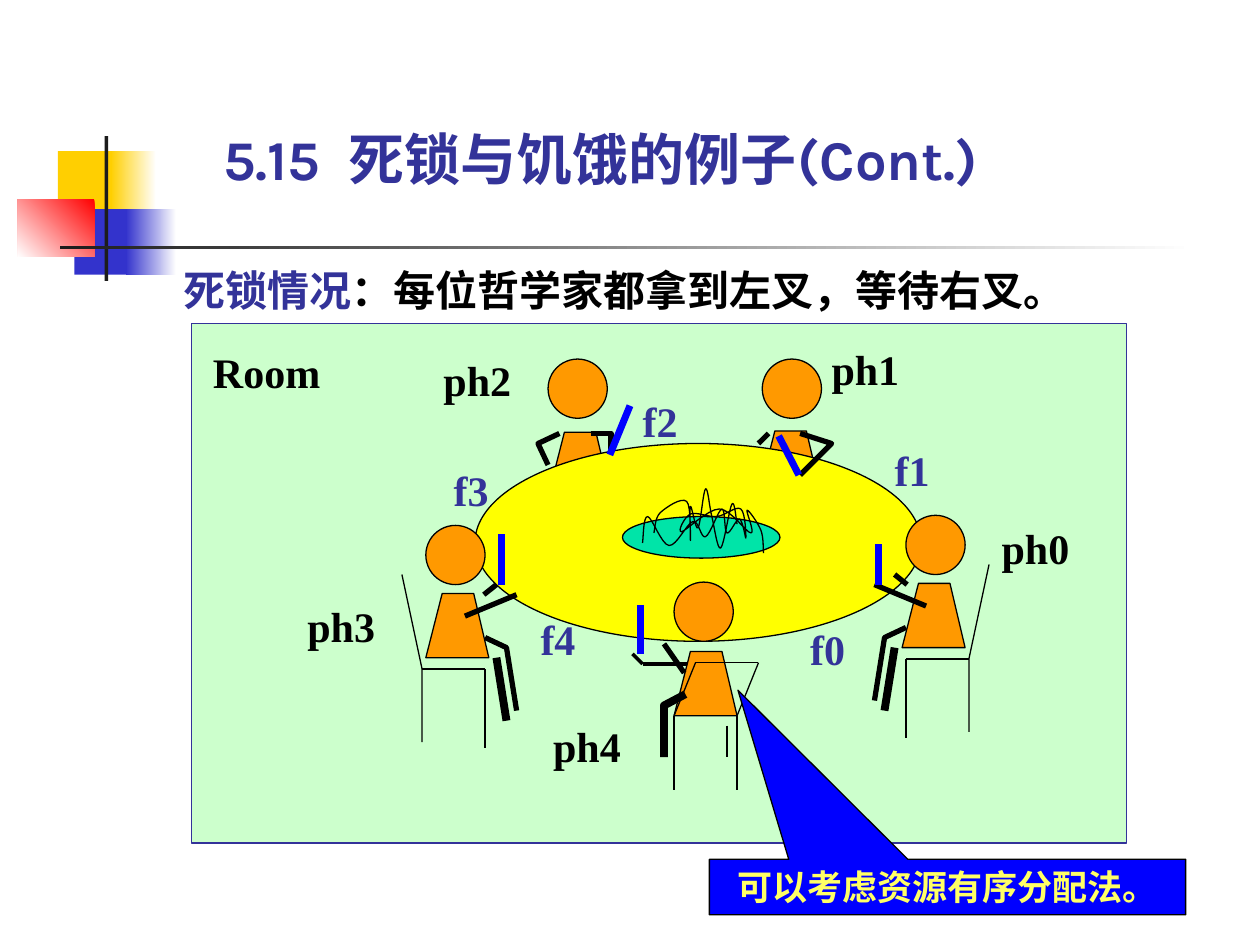
from lxml.etree import SubElement
from pptx import Presentation
from pptx.dml.color import RGBColor
from pptx.enum.shapes import MSO_CONNECTOR as Connector, MSO_SHAPE as Preset
from pptx.enum.text import MSO_ANCHOR as Anchor, PP_ALIGN as Align
from pptx.oxml.ns import qn
from pptx.util import Inches, Pt

COLORS = {
    "white": "FFFFFF", "black": "000000", "ink": "1C1C1C", "gold": "FFCF01",
    "indigo": "3333CC", "red": "FF0000", "navy": "333399", "room": "CCFFCC",
    "table": "FFFF00", "person": "FF9900", "plate": "00E4A8", "blue": "0000FF",
    "callout text": "FFFF66",
}
SERIF, SANS = "Times New Roman", "Karla"
HEAD = 0.47

DECORATION = [
    ((0.46, 1.2, 0.48, 0.52), "gold", None),
    ((0.88, 1.2, 0.36, 0.52), ("white", "gold"), 180),
    ((0.59, 1.66, 0.46, 0.52), "indigo", None),
    ((1, 1.66, 0.4, 0.52), ("white", "indigo"), 180),
    ((0.14, 1.58, 0.61, 0.46), ("red", "white"), 225),
    ((0.83, 1.08, 0.03, 1.15), "ink", None),
    ((0.48, 1.95, 9, 0.03), ("white", "ink"), 180),
]
PHILOSOPHERS = [(7.95, 4.15), (6.6, 2.73), (3.52, 2.81), (2.44, 4.77), (4.39, 5.72)]
FORKS = [(6.43, 4.95), (7.1, 3.53), (5.1, 3.14), (3.6, 3.69), (4.29, 4.87)]
NOODLES = [
    [(5.19, 4.23), (5.24, 4.07), (5.45, 3.98), (5.48, 4.29), (5.48, 4.02), (5.54, 4.19),
     (5.6, 3.88), (5.65, 4.1), (5.72, 4.35), (5.81, 4), (5.85, 4.16)],
    [(5.1, 4.31), (5.14, 4.1), (5.31, 4.33), (5.5, 4.14), (5.6, 4.26), (5.73, 4.04),
     (5.77, 4.23), (5.87, 4.12), (5.92, 4.27), (5.88, 4.04), (5.69, 4.1), (5.48, 4.08),
     (5.41, 4.22), (5.71, 4.04), (5.96, 4.23), (5.93, 4.05), (6.04, 4.21), (6.06, 4.39)],
]


def rgb(name):
    """Return the named colour."""
    return RGBColor.from_string(COLORS[name])


def paint(shape, fill=None, line=None, width=0.75, angle=None):
    """Set fill, outline and shadow; a pair of fills makes a gradient."""
    shape.shadow.inherit = False
    if fill is None:
        shape.fill.background()
    elif angle is None:
        shape.fill.solid()
        shape.fill.fore_color.rgb = rgb(fill)
    else:
        shape.fill.gradient()
        shape.fill.gradient_angle = angle
        for stop, name in zip(shape.fill.gradient_stops, fill):
            stop.color.rgb = rgb(name)
    if line is None:
        shape.line.fill.background()
    else:
        shape.line.color.rgb = rgb(line)
        shape.line.width = Pt(width)


def add_preset(slide, preset, box, **style):
    """Add a preset shape at a box in inches."""
    shape = slide.shapes.add_shape(preset, *map(Inches, box))
    paint(shape, **style)
    return shape


def add_outline(slide, points, close=False, **style):
    """Add a freeform through the points."""
    start, *rest = [(Inches(x), Inches(y)) for x, y in points]
    builder = slide.shapes.build_freeform(*start)
    builder.add_line_segments(rest, close=close)
    paint(builder.convert_to_shape(), line="black", **style)


def add_curve(slide, points, steps=8):
    """Add a smooth curve through the points, drawn in short steps."""
    padded = [points[0], *points, points[-1]]
    smooth = [points[0]]
    for corners in zip(padded, padded[1:], padded[2:], padded[3:]):
        for t in (step / steps for step in range(1, steps + 1)):
            smooth.append(tuple(
                b + t * ((c - a) + t * (2 * a - 5 * b + 4 * c - d + t * (3 * (b - c) + d - a))) / 2
                for a, b, c, d in zip(*corners)))
    add_outline(slide, smooth)


def add_line(slide, start, end, width=0.75, color="black"):
    """Add a straight line without shadow."""
    line = slide.shapes.add_connector(Connector.STRAIGHT, *map(Inches, (*start, *end)))
    line.line.color.rgb = rgb(color)
    line.line.width = Pt(width)
    SubElement(line._element.spPr, qn("a:effectLst"))


def write(frame, *runs, size=24, font=SERIF, align=Align.LEFT, anchor=Anchor.TOP, inset=(0, 0)):
    """Fill a text frame with bold (text, colour) runs."""
    frame.word_wrap = True
    frame.vertical_anchor = anchor
    frame.margin_left = frame.margin_right = Inches(inset[0])
    frame.margin_top = frame.margin_bottom = Inches(inset[1])
    paragraph = frame.paragraphs[0]
    paragraph.alignment = align
    for text, color in runs:
        run = paragraph.add_run()
        run.text = text
        run.font.size, run.font.name, run.font.bold = Pt(size), font, True
        run.font.color.rgb = rgb(color)


def add_text(slide, box, *runs, **text_format):
    """Add a text box."""
    write(slide.shapes.add_textbox(*map(Inches, box)).text_frame, *runs, **text_format)


def add_torso(slide, left, top):
    """Add a tapered torso."""
    points = [(left, top + 0.51), (left + 0.5, top + 0.51), (left + 0.38, top), (left + 0.13, top)]
    add_outline(slide, points, close=True, fill="person")


def add_head(slide, left, top):
    """Add a round head."""
    add_preset(slide, Preset.OVAL, (left, top, HEAD, HEAD), fill="person", line="black")


def add_side_philosopher(slide, mirrored=False):
    """Add the seated philosopher on the left, or the mirrored one on the right."""
    def place(x, y, width=0):
        return (11.04 - x - width, y - 0.08) if mirrored else (x, y)

    add_outline(slide, [place(3.19, 4.56), place(3.35, 5.31), place(3.35, 5.89)])
    add_line(slide, place(3.85, 5.31), place(3.85, 5.94))
    add_line(slide, place(3.35, 5.31), place(3.85, 5.31))
    add_torso(slide, *place(3.38, 4.71, 0.5))
    add_head(slide, *place(3.38, 4.17, HEAD))
    add_line(slide, place(3.94, 5.22), place(4.02, 5.72), 4.5)
    add_outline(slide, [place(3.85, 5.06), place(4.02, 5.14), place(4.1, 5.64)], width=3)
    add_line(slide, place(3.69, 4.89), place(4.1, 4.72), 3)
    add_line(slide, place(3.84, 4.72), place(3.94, 4.64), 3)


def add_front_philosopher(slide):
    """Add the philosopher at the near side, with the chair."""
    add_line(slide, (5.1, 5.27), (5.6, 5.27), 2)
    add_line(slide, (5.02, 5.19), (5.1, 5.27), 2)
    add_torso(slide, 5.35, 5.17)
    for x in (5.35, 5.85):
        add_line(slide, (x, 5.68), (x, 6.27))
        add_line(slide, (x, 5.68), (x + 0.17, 5.26))
    add_line(slide, (5.52, 5.26), (6.02, 5.26))
    add_head(slide, 5.35, 4.62)
    add_line(slide, (5.27, 5.68), (5.27, 6.01))
    add_line(slide, (5.77, 5.76), (5.77, 6.01))
    add_line(slide, (5.27, 5.11), (5.43, 5.34), 3)
    add_outline(slide, [(5.44, 5.51), (5.27, 5.6), (5.27, 6.01)], width=4.5)


def add_back_philosophers(slide):
    """Add heads and arms of the two philosophers at the far side."""
    for left in (6.05, 4.35):
        add_head(slide, left, 2.85)
    add_line(slide, (6.1, 3.44), (6.02, 3.52), 3)
    for arm in ([(6.35, 3.44), (6.6, 3.52), (6.35, 3.77)],
                [(4.44, 3.44), (4.27, 3.52), (4.35, 3.69)],
                [(4.69, 3.44), (4.85, 3.44), (4.85, 3.6)]):
        add_outline(slide, arm, width=3)


def add_labels(slide):
    """Name the room, the philosophers and the forks."""
    add_text(slide, (1.69, 2.75, 0.89, 0.4), ("Room", "black"))
    for prefix, places, width, color in (("ph", PHILOSOPHERS, 0.7, "black"),
                                         ("f", FORKS, 0.4, "navy")):
        for number, place in enumerate(places):
            add_text(slide, (*place, width, 0.4), (f"{prefix}{number}", color))


def add_forks(slide):
    """Add the five forks, three of them upright."""
    for x, top, bottom in ((6.97, 4.32, 4.64), (3.98, 4.24, 4.64), (5.08, 4.8, 5.19)):
        add_line(slide, (x, top), (x, bottom), 4, "blue")
    add_line(slide, (6.18, 3.46), (6.34, 3.77), 4, "blue")
    add_line(slide, (5, 3.22), (4.84, 3.61), 4, "blue")


def main():
    """Build the dining philosophers slide."""
    presentation = Presentation()
    presentation.slide_width, presentation.slide_height = Inches(10), Inches(7.5)
    slide = presentation.slides.add_slide(presentation.slide_layouts[6])
    for box, fill, angle in DECORATION:
        add_preset(slide, Preset.RECTANGLE, box, fill=fill, angle=angle)
    add_preset(slide, Preset.RECTANGLE, (1.52, 2.57, 7.42, 4.12), fill="room", line="navy")
    add_torso(slide, 4.35, 3.43)
    add_torso(slide, 6.02, 3.42)
    add_preset(slide, Preset.OVAL, (3.77, 3.52, 3.54, 1.57), fill="table", line="black")
    add_side_philosopher(slide)
    add_side_philosopher(slide, mirrored=True)
    add_front_philosopher(slide)
    add_back_philosophers(slide)
    add_preset(slide, Preset.OVAL, (4.94, 4.1, 1.25, 0.33), fill="plate", line="black")
    for noodle in NOODLES:
        add_curve(slide, noodle)
    add_labels(slide)
    add_forks(slide)
    add_text(slide, (1.46, 2.1, 7.09, 0.4), ("死锁情况", "navy"),
             ("：每位哲学家都拿到左叉，等待右叉。", "black"))
    add_text(slide, (1.77, 0.99, 6.69, 0.53), ("5.15  死锁与饥饿的例子(Cont.)", "navy"),
             size=32, font=SANS, anchor=Anchor.BOTTOM)
    callout = add_preset(slide, Preset.RECTANGULAR_CALLOUT, (5.63, 6.82, 3.78, 0.44),
                         fill="blue", line="black")
    callout.adjustments[0], callout.adjustments[1] = -0.44, -3.55
    write(callout.text_frame, ("可以考虑资源有序分配法。", "callout text"), size=20, font=SANS,
          align=Align.CENTER, inset=(0.1, 0.05))
    presentation.save("out.pptx")


if __name__ == "__main__":
    main()
